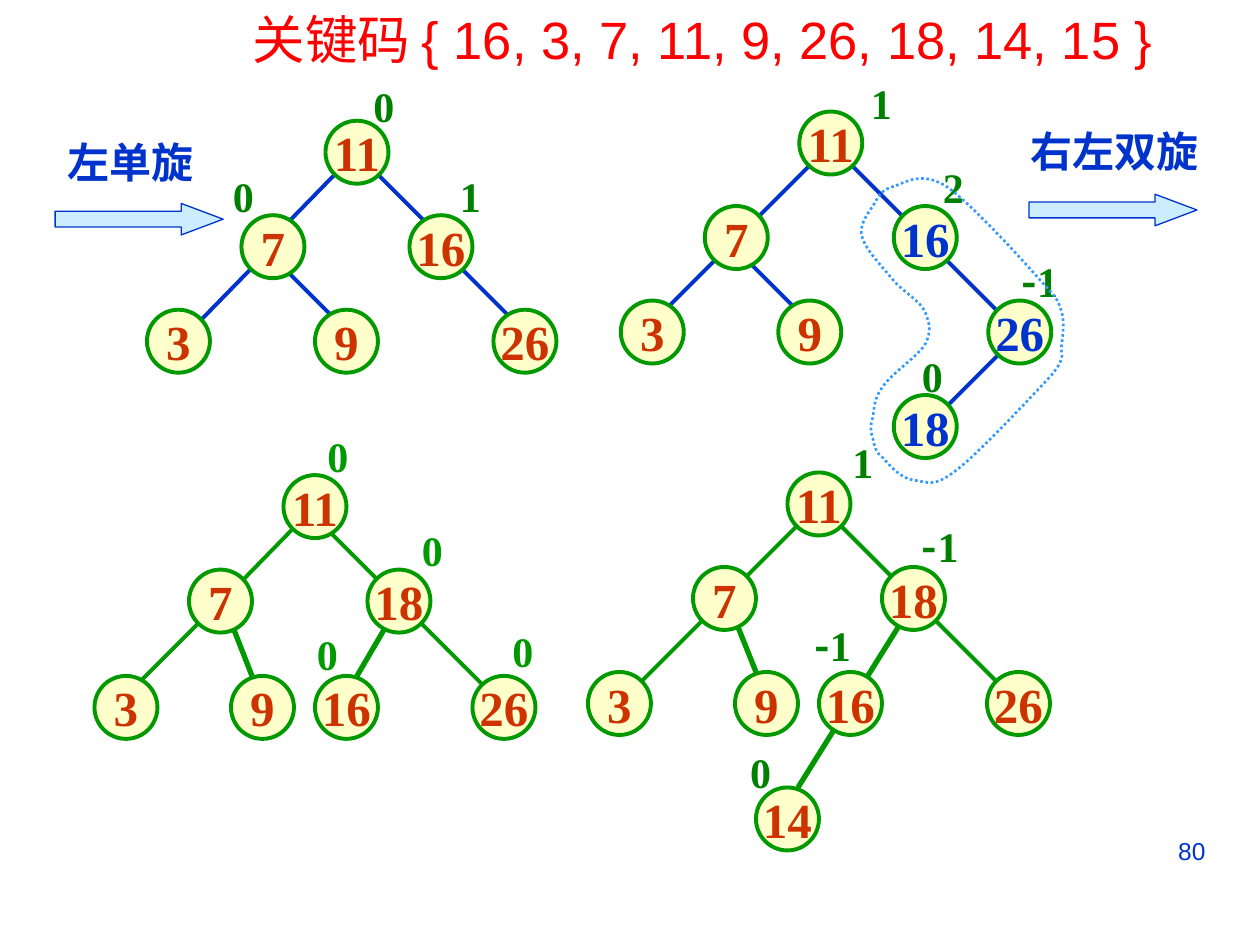
from dataclasses import dataclass
from itertools import groupby

import lxml.etree
import pptx
import pptx.dml.color
import pptx.enum.dml
import pptx.enum.shapes
import pptx.enum.text
import pptx.oxml.ns
import pptx.util

PX = 9525
NODE_SIZE = 48
LABEL_HEIGHT = 48
BLUE, GREEN, DARK_GREEN, BRICK = "0033CC", "009900", "008000", "CC3300"
RED, PALE_YELLOW, PALE_BLUE, SKY = "FF0000", "FFFFCC", "CCECFF", "3399FF"
SERIF, SANS, CHINESE = "Times New Roman", "Arial", "Noto Sans CJK SC"
ALIGN = pptx.enum.text.PP_ALIGN
SHAPE = pptx.enum.shapes.MSO_SHAPE


@dataclass
class Node:
    key: str
    left: int
    top: int
    color: str = BRICK


@dataclass
class Edge:
    x1: int
    y1: int
    x2: int
    y2: int
    width: float = 2.25


@dataclass
class Balance:
    text: str
    left: int
    top: int


@dataclass
class Tree:
    edge_color: str
    balance_color: str
    nodes: list[Node]
    edges: list[Edge]
    balances: list[Balance]


TREES = [
    Tree(BLUE, DARK_GREEN,
         [Node("11", 248, 92), Node("7", 184, 164), Node("16", 312, 164),
          Node("3", 112, 236), Node("9", 240, 236), Node("26", 376, 236)],
         [Edge(256, 132, 216, 173), Edge(280, 125, 328, 173), Edge(192, 204, 152, 245),
          Edge(216, 204, 264, 252), Edge(344, 197, 392, 245)],
         [Balance("0", 275, 57), Balance("0", 168, 125), Balance("1", 341, 125)]),
    Tree(BLUE, DARK_GREEN,
         [Node("11", 609, 85), Node("7", 537, 157), Node("16", 681, 157, BLUE),
          Node("3", 473, 229), Node("9", 593, 229), Node("26", 753, 229, BLUE),
          Node("18", 681, 301, BLUE)],
         [Edge(617, 126, 577, 166), Edge(649, 126, 689, 166), Edge(553, 190, 505, 238),
          Edge(569, 198, 609, 238), Edge(721, 198, 761, 238), Edge(761, 270, 721, 310)],
         [Balance("1", 654, 54), Balance("2", 709, 118), Balance("-1", 769, 190),
          Balance("0", 693, 262)]),
    Tree(GREEN, GREEN,
         [Node("11", 216, 362), Node("7", 144, 434), Node("18", 280, 434),
          Node("3", 72, 515), Node("9", 176, 515), Node("16", 240, 515), Node("26", 360, 515)],
         [Edge(224, 402, 184, 443), Edge(248, 402, 296, 450), Edge(152, 474, 104, 522),
          Edge(176, 474, 192, 515, 3), Edge(296, 474, 272, 515, 3), Edge(320, 474, 376, 530)],
         [Balance("0", 240, 323), Balance("0", 312, 395), Balance("0", 232, 474),
          Balance("0", 381, 472)]),
    Tree(GREEN, DARK_GREEN,
         [Node("11", 600, 360), Node("7", 528, 432), Node("18", 672, 432),
          Node("3", 448, 512), Node("9", 560, 512), Node("16", 624, 512), Node("26", 752, 512),
          Node("14", 576, 600)],
         [Edge(608, 400, 560, 448), Edge(640, 400, 696, 456), Edge(544, 464, 472, 536),
          Edge(560, 472, 576, 512, 3), Edge(688, 472, 608, 600, 3), Edge(712, 472, 768, 528)],
         [Balance("1", 640, 328), Balance("-1", 693, 392), Balance("-1", 611, 467),
          Balance("0", 562, 564)]),
]

OUTLINE_START = (681, 142)
OUTLINE_CURVES = [
    [(670, 145), (669, 151), (665, 157)], [(660, 164), (654, 173), (657, 181)],
    [(660, 191), (673, 204), (681, 214)], [(689, 223), (701, 229), (705, 238)],
    [(708, 246), (710, 252), (705, 262)], [(700, 271), (680, 284), (673, 294)],
    [(666, 303), (666, 311), (665, 318)], [(663, 324), (663, 328), (665, 334)],
    [(666, 339), (667, 345), (673, 349)], [(678, 355), (687, 365), (697, 366)],
    [(707, 367), (711, 372), (729, 358)], [(746, 345), (787, 301), (801, 286)],
    [(814, 270), (807, 270), (809, 262)], [(810, 253), (811, 245), (809, 238)],
    [(806, 229), (807, 229), (793, 214)], [(779, 198), (739, 154), (721, 142)],
    [(702, 130), (690, 139), OUTLINE_START],
]


def rgb(color: str):
    return pptx.dml.color.RGBColor.from_string(color)


def px(*lengths: int) -> list[int]:
    return [length * PX for length in lengths]


def set_line(line, color: str, width: float) -> None:
    line.color.rgb = rgb(color)
    line.width = pptx.util.Pt(width)


def write_text(shape, text: str, *, size: int, color: str, font=SERIF, bold=True,
               align=ALIGN.LEFT, wrap=False) -> None:
    shape.text_frame.word_wrap = wrap
    paragraph = shape.text_frame.paragraphs[0]
    paragraph.alignment = align
    for is_minus, characters in groupby(text, lambda character: character == "-"):
        run = paragraph.add_run()
        run.text = "".join(characters)
        run.font.size = pptx.util.Pt(size)
        run.font.bold = bold
        run.font.color.rgb = rgb(color)
        run.font.name = CHINESE if is_minus else font
        east_asian = lxml.etree.Element(pptx.oxml.ns.qn("a:ea"), typeface=CHINESE)
        run.font._element.find(pptx.oxml.ns.qn("a:latin")).addnext(east_asian)


def add_text(slide, text: str, left: int, top: int, width: int, height: int, **text_format) -> None:
    box = slide.shapes.add_textbox(*px(left, top, width, height))
    write_text(box, text, **text_format)


def add_filled(slide, kind, box: tuple, fill: str, line: str, width: float):
    shape = slide.shapes.add_shape(kind, *px(*box))
    shape.shadow.inherit = False
    shape.fill.solid()
    shape.fill.fore_color.rgb = rgb(fill)
    set_line(shape.line, line, width)
    return shape


def add_edge(slide, edge: Edge, color: str) -> None:
    connector = slide.shapes.add_connector(pptx.enum.shapes.MSO_CONNECTOR.STRAIGHT,
                                           *px(edge.x1, edge.y1, edge.x2, edge.y2))
    set_line(connector.line, color, edge.width)
    lxml.etree.SubElement(connector._element.spPr, pptx.oxml.ns.qn("a:effectLst"))


def add_tree(slide, tree: Tree) -> None:
    for edge in tree.edges:
        add_edge(slide, edge, tree.edge_color)
    for node in tree.nodes:
        circle = add_filled(slide, SHAPE.OVAL, (node.left, node.top, NODE_SIZE, NODE_SIZE),
                            PALE_YELLOW, GREEN, 2.25)
        circle.text_frame.vertical_anchor = pptx.enum.text.MSO_ANCHOR.MIDDLE
        write_text(circle, node.key, size=28, color=node.color, align=ALIGN.CENTER)
    for balance in tree.balances:
        width = 36 if len(balance.text) == 1 else 51
        add_text(slide, balance.text, balance.left, balance.top, width, LABEL_HEIGHT,
                 size=24, color=tree.balance_color)


def add_rotation(slide, text: str, text_box: tuple, arrow_left: int, arrow_top: int) -> None:
    arrow = add_filled(slide, SHAPE.RIGHT_ARROW, (arrow_left, arrow_top, 128, 24),
                       PALE_BLUE, BLUE, 0.75)
    arrow.adjustments[0] = 0.5
    arrow.adjustments[1] = 1.33
    add_text(slide, text, *text_box, size=24, color=BLUE)


def add_outline(slide) -> None:
    builder = slide.shapes.build_freeform(*OUTLINE_START, scale=PX)
    builder.add_line_segments([point for curve in OUTLINE_CURVES for point in curve], close=True)
    shape = builder.convert_to_shape()
    segments = list(shape._element.iter(pptx.oxml.ns.qn("a:lnTo")))
    for first in range(0, len(segments), 3):
        curve = lxml.etree.Element(pptx.oxml.ns.qn("a:cubicBezTo"))
        segments[first].addprevious(curve)
        for segment in segments[first:first + 3]:
            curve.append(segment[0])
            segment.getparent().remove(segment)
    shape.shadow.inherit = False
    shape.fill.background()
    set_line(shape.line, SKY, 1.5)
    shape.line.dash_style = pptx.enum.dml.MSO_LINE.ROUND_DOT


def main() -> None:
    presentation = pptx.Presentation()
    presentation.slide_width, presentation.slide_height = px(960, 720)
    slide = presentation.slides.add_slide(presentation.slide_layouts[6])
    add_text(slide, "80", 688, 632, 240, 50, size=14, color=BLUE, font=SANS, bold=False,
             align=ALIGN.RIGHT, wrap=True)
    add_rotation(slide, "左单旋", (42, 99, 116, 48), 42, 155)
    add_rotation(slide, "右左双旋", (776, 91, 148, 48), 784, 148)
    for tree in TREES:
        add_tree(slide, tree)
    add_outline(slide)
    add_text(slide, "关键码 { 16, 3, 7, 11, 9, 26, 18, 14, 15 }", 183, 1, 720, 59,
             size=30, color=RED, font=SANS, bold=False, wrap=True)
    presentation.save("out.pptx")


if __name__ == "__main__":
    main()
